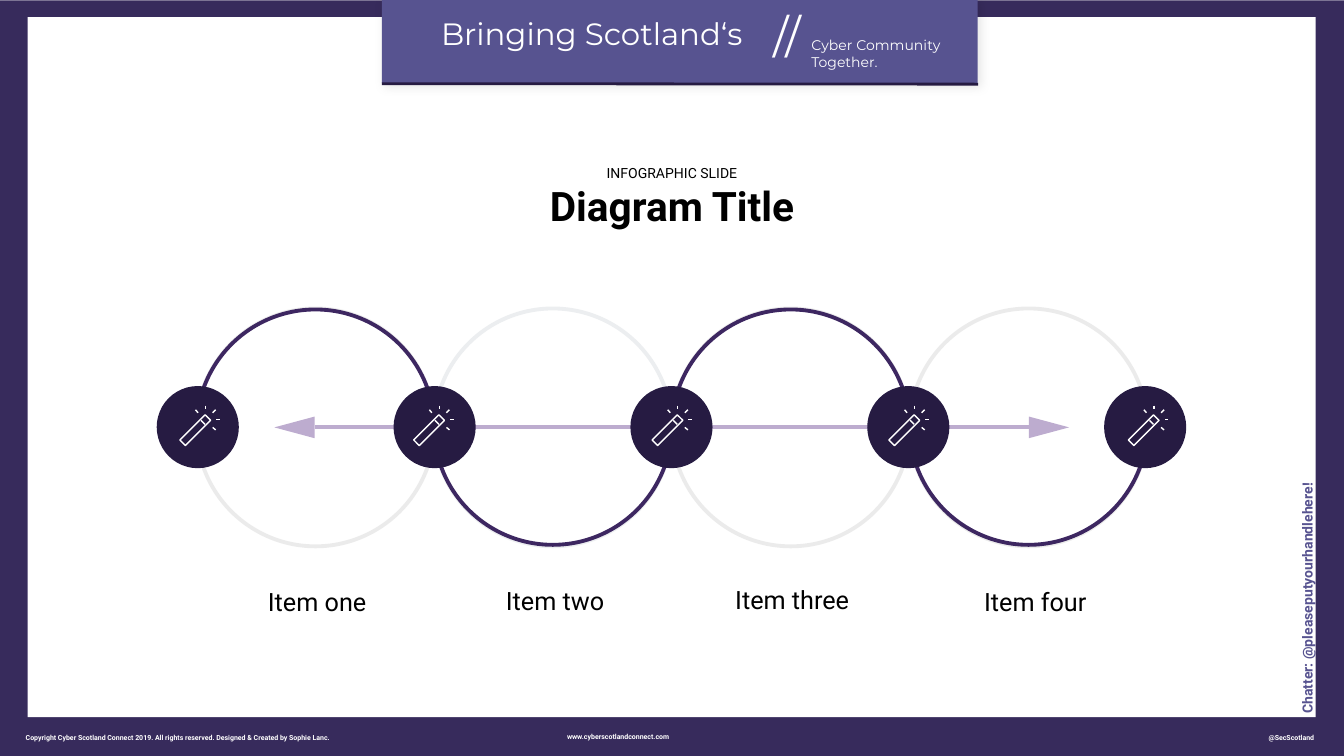
from typing import NamedTuple

from lxml import etree
from pptx import Presentation
from pptx import util as u
from pptx.dml.color import RGBColor
from pptx.enum import shapes, text
from pptx.oxml.ns import qn

EMU_PER_PX = 9144
COLORS = {
    "frame": "372B5C", "banner": "575390", "dark": "261B42", "arc": "3D2761",
    "arrow": "BDACCF", "ring": "BFBFBF", "pale": "ECEEF0",
    "white": "FFFFFF", "black": "000000",
}
SHAPE = shapes.MSO_SHAPE
ALIGN = text.PP_ALIGN
ANCHOR = text.MSO_ANCHOR


class Area(NamedTuple):
    left: int
    top: int
    width: int
    height: int


class Segment(NamedTuple):
    x1: int
    y1: int
    x2: int
    y2: int


class Line(NamedTuple):
    content: str
    size: int
    bold: bool = False


class Label(NamedTuple):
    area: Area
    lines: list[Line]
    font: str = "Roboto"
    color: str = "white"
    align: ALIGN = ALIGN.CENTER
    anchor: ANCHOR = ANCHOR.TOP
    inset: int = 0
    rotation: int = 0


class Stage(NamedTuple):
    name: str
    label_area: Area
    ring_color: str
    ring_opacity: int


FOOTER = [
    Label(Area(1105, 1454, 243, 17), [Line("www.cyberscotlandconnect.com", 10, True)],
          anchor=ANCHOR.MIDDLE),
    Label(Area(2507, 1456, 111, 17), [Line("@SecScotland", 10, True)], anchor=ANCHOR.MIDDLE),
    Label(Area(2, 1456, 701, 17),
          [Line("Copyright Cyber Scotland Connect 2019. All rights reserved. "
                "Designed & Created by Sophie Lanc.", 10, True)], anchor=ANCHOR.MIDDLE),
]
BANNER = [
    Label(Area(859, 30, 631, 74), [Line("Bringing Scotland‘s", 44)], "Montserrat"),
    Label(Area(1420, 15, 283, 109), [Line("//", 65)], "Montserrat"),
    Label(Area(1610, 73, 331, 67), [Line("Cyber Community", 20), Line("Together.", 20)],
          "Montserrat", align=ALIGN.LEFT),
]
TITLE = Label(Area(692, 326, 1283, 131),
              [Line("INFOGRAPHIC SLIDE", 20), Line("Diagram Title", 58, True)], color="black")
HANDLE = Label(Area(2353, 1159, 482, 33), [Line("Chatter: @pleaseputyourhandlehere!", 20, True)],
               color="banner", align=ALIGN.LEFT, anchor=ANCHOR.BOTTOM, rotation=270)
STAGES = [
    Stage("Item one", Area(519, 1105, 213, 176), "ring", 30),
    Stage("Item two", Area(991, 1103, 213, 176), "pale", 100),
    Stage("Item three", Area(1449, 1102, 241, 176), "ring", 30),
    Stage("Item four", Area(1920, 1105, 241, 176), "ring", 30),
]
RING_SIZE = 472
DISC_SIZE = 163
WAND_TOP = 805
WAND_LEFTS = [357, 821, 1294, 1764, 2239]
WAND_BODY = [(11, 79), (0, 68), (50, 18), (61, 29)]
WAND_STROKES = [
    Segment(42, 29, 50, 37), Segment(71, 48, 65, 43), Segment(79, 27, 72, 27),
    Segment(71, 8, 65, 14), Segment(51, 0, 51, 7), Segment(31, 8, 36, 14),
]


def emu(pixels: int) -> int:
    return pixels * EMU_PER_PX


def rgb(name: str) -> RGBColor:
    return RGBColor.from_string(COLORS[name])


def paint(shape, fill: str | None = None, line: str | None = None, width: float = 0) -> None:
    shape.shadow.inherit = False
    if fill:
        shape.fill.solid()
        shape.fill.fore_color.rgb = rgb(fill)
    else:
        shape.fill.background()
    if line:
        shape.line.color.rgb = rgb(line)
        shape.line.width = u.Pt(width)
    else:
        shape.line.fill.background()


def draw_shape(page, kind, area: Area, fill=None, line=None, width=0.0, rotation=0):
    shape = page.shapes.add_shape(kind, *map(emu, area))
    paint(shape, fill, line, width)
    shape.rotation = rotation
    return shape


def draw_line(page, segment: Segment, color: str, width: float) -> None:
    line = page.shapes.add_connector(shapes.MSO_CONNECTOR.STRAIGHT, *map(emu, segment))
    line.line.color.rgb = rgb(color)
    line.line.width = u.Pt(width)
    etree.SubElement(line._element.spPr, qn("a:effectLst"))


def draw_label(page, label: Label) -> None:
    box = page.shapes.add_textbox(*map(emu, label.area))
    box.rotation = label.rotation
    frame = box.text_frame
    frame.word_wrap = True
    frame.vertical_anchor = label.anchor
    frame.margin_left = frame.margin_right = emu(label.inset)
    frame.margin_top = frame.margin_bottom = emu(label.inset)
    for index, line in enumerate(label.lines):
        para = frame.add_paragraph() if index else frame.paragraphs[0]
        para.alignment = label.align
        span = para.add_run()
        span.text = line.content
        span.font.name = label.font
        span.font.size = u.Pt(line.size)
        span.font.bold = line.bold
        span.font.color.rgb = rgb(label.color)


def add_soft_shadow(shape) -> None:
    effects = shape._element.spPr.find(qn("a:effectLst"))
    shadow = etree.SubElement(effects, qn("a:outerShdw"), blurRad=str(u.Pt(15)),
                              dist=str(u.Pt(5)), dir="2700000", algn="tl", rotWithShape="0")
    color = etree.SubElement(shadow, qn("a:srgbClr"), val=COLORS["black"])
    etree.SubElement(color, qn("a:alpha"), val="10000")


def draw_ring(page, left: int, stage: Stage) -> None:
    ring = draw_shape(page, SHAPE.OVAL, Area(left, 612, RING_SIZE, RING_SIZE),
                      line=stage.ring_color, width=5.5)
    if stage.ring_opacity < 100:
        color = ring.line._ln.find(".//" + qn("a:srgbClr"))
        etree.SubElement(color, qn("a:alpha"), val=str(stage.ring_opacity * 1000))


def draw_arc(page, left: int, upper: bool) -> None:
    area = Area(left, 614 if upper else 609, RING_SIZE, RING_SIZE)
    arc = draw_shape(page, SHAPE.ARC, area, line="arc", width=5.5)
    arc.adjustments[0], arc.adjustments[1] = (108, 0) if upper else (0, 108)


def draw_wand(page, left: int) -> None:
    corners = [(left + x, WAND_TOP + y) for x, y in WAND_BODY]
    builder = page.shapes.build_freeform(*corners[0], scale=EMU_PER_PX)
    builder.add_line_segments(corners[1:], close=True)
    paint(builder.convert_to_shape(), line="white", width=2)
    for x1, y1, x2, y2 in WAND_STROKES:
        draw_line(page, Segment(left + x1, WAND_TOP + y1, left + x2, WAND_TOP + y2), "white", 2)


def main() -> None:
    deck = Presentation()
    deck.slide_width, deck.slide_height = emu(2667), emu(1500)
    page = deck.slides.add_slide(deck.slide_layouts[6])

    draw_shape(page, SHAPE.RECTANGLE, Area(0, 1, 2667, 1500), "frame")
    draw_shape(page, SHAPE.RECTANGLE, Area(55, 34, 2556, 1389), "white")
    add_soft_shadow(draw_shape(page, SHAPE.RECTANGLE, Area(758, -4, 1182, 169), "banner"))
    draw_line(page, Segment(758, 166, 1941, 167), "dark", 4)
    for label in FOOTER + BANNER:
        draw_label(page, label)

    draw_line(page, Segment(2041, 848, 625, 848), "arrow", 6)
    for left, rotation in ((2060, 90), (563, 270)):
        draw_shape(page, SHAPE.ISOSCELES_TRIANGLE, Area(left, 808, 43, 80), "arrow",
                   rotation=rotation)

    ring_lefts = [390 + index * 1415 // 3 for index in range(len(STAGES))]
    for left, stage in zip(ring_lefts, STAGES):
        draw_ring(page, left, stage)
    for index, left in enumerate(ring_lefts):
        draw_arc(page, left, upper=index % 2 == 0)
    for index, wand_left in enumerate(WAND_LEFTS):
        draw_shape(page, SHAPE.OVAL, Area(311 + 470 * index, 766, DISC_SIZE, DISC_SIZE), "dark")
        draw_wand(page, wand_left)

    draw_label(page, TITLE)
    for stage in STAGES:
        draw_label(page, Label(stage.label_area, [Line(stage.name, 36)], color="black",
                               align=ALIGN.RIGHT, anchor=ANCHOR.MIDDLE, inset=5))
    draw_label(page, HANDLE)
    deck.save("out.pptx")


if __name__ == "__main__":
    main()
